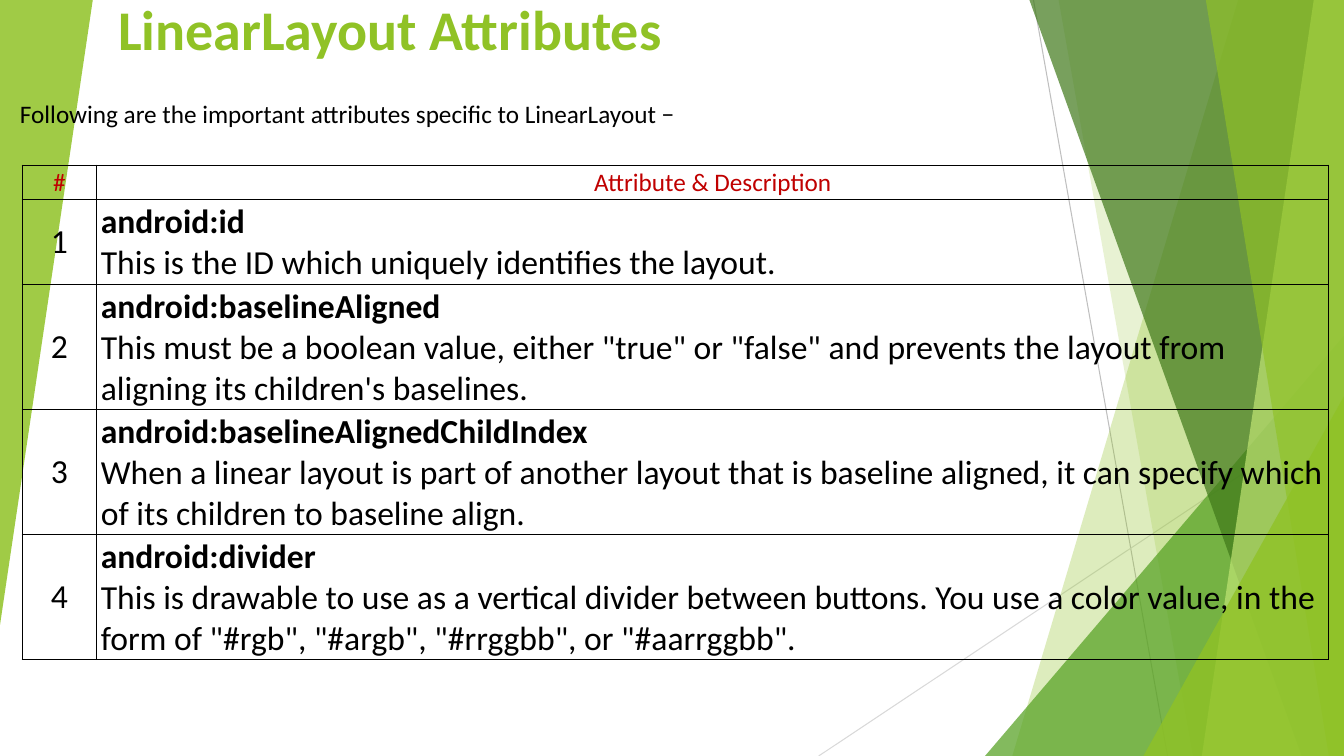
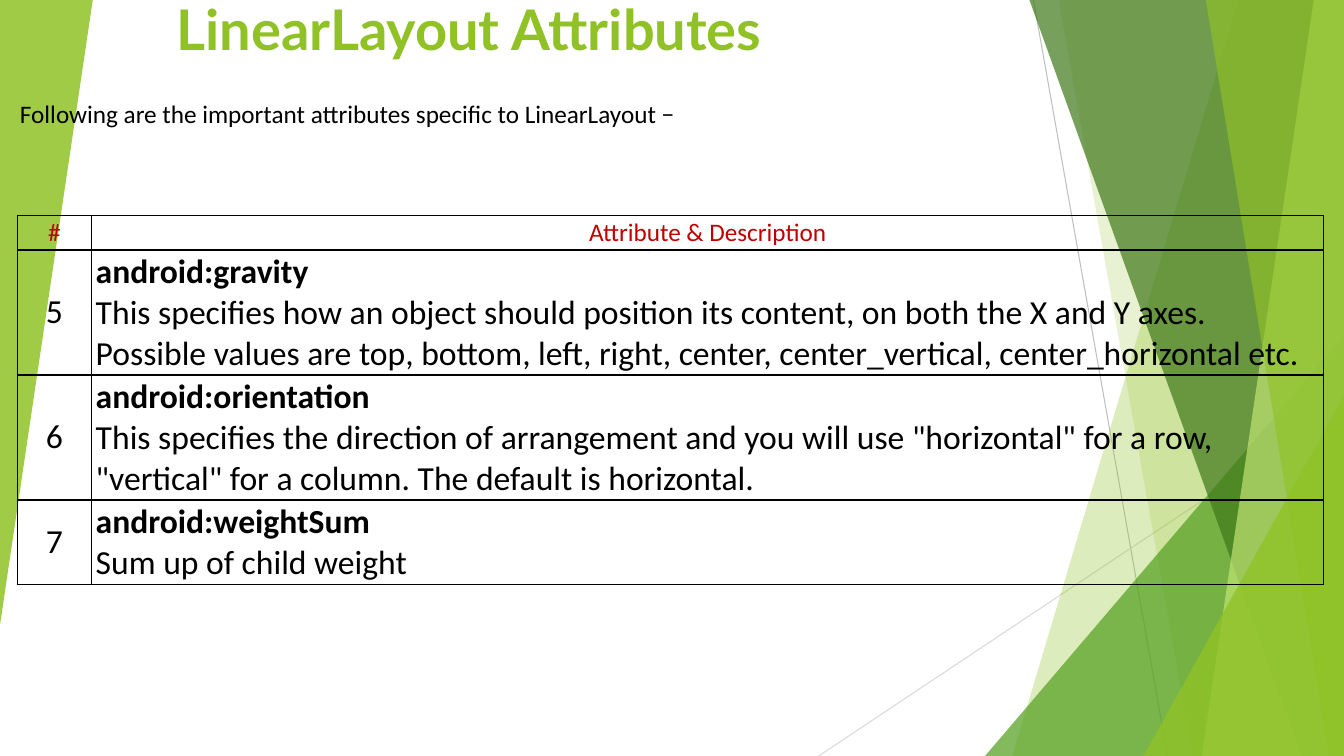
from dataclasses import dataclass
from lxml.etree import SubElement as Sub
from pptx import Presentation
from pptx.dml.color import RGBColor as RGB
from pptx.enum.shapes import MSO_CONNECTOR as Wire, MSO_SHAPE as Form
from pptx.enum.text import MSO_ANCHOR as Anchor, PP_ALIGN as Align
from pptx.oxml.ns import qn
from pptx.util import Inches, Pt


@dataclass(frozen=True)
class Theme:
    lime: str = "90C226"
    green: str = "54A021"
    forest: str = "3F7819"
    pale: str = "C0E474"
    red: str = "C00000"
    black: str = "000000"
    gray: str = "BFBFBF"
    silver: str = "D9D9D9"
    font: str = "Calibri"
    title: int = 40
    body: int = 24
    small: int = 18


look = Theme()
WIDE, HIGH = 13.33, 7.5


def write(frame, text, size=look.body, color=look.black, font=look.font,
          bold=False, align=Align.LEFT, anchor=Anchor.TOP):
    frame.word_wrap = True
    frame.vertical_anchor = anchor
    para = frame.add_paragraph() if frame.text else frame.paragraphs[0]
    para.alignment = align
    run = para.add_run()
    run.text = text
    run.font.size = Pt(size)
    run.font.name = font
    run.font.bold = bold
    run.font.color.rgb = RGB.from_string(color)


def paint(shape, color, alpha):
    shape.shadow.inherit = False
    shape.line.fill.background()
    shape.fill.solid()
    shape.fill.fore_color.rgb = RGB.from_string(color)
    tint = next(shape.element.iter(qn("a:srgbClr")))
    Sub(tint, qn("a:alpha"), val=str(alpha * 1000))


deck = Presentation()
deck.slide_width, deck.slide_height = Inches(WIDE), Inches(HIGH)
blank = deck.slide_layouts[6]

lines = [
    (10.25, 0, 11.58, HIGH, look.gray),
    (WIDE, 4.03, 8.12, HIGH, look.silver),
]
bands = [
    ("blade", (12.28, 10.04), look.lime, 30),
    ("blade", (10.5, 11.83), look.lime, 20),
    ("wedge", (9.77, 3.33), look.green, 72),
    ("blade", (10.21, 12.91), look.forest, 70),
    ("blade", (13.03, 11.92), look.pale, 70),
    ("blade", (11.96, 13.18), look.lime, 65),
    ("wedge", (11.34, 3.93), look.lime, 80),
]
pages = [
    (6.56, look.font, 0.22, 1.64, [
        ("1", "android:id", "This is the ID which uniquely identifies the layout.", 2),
        ("2", "android:baselineAligned",
         "This must be a boolean value, either \"true\" or \"false\" and prevents "
         "the layout from aligning its children's baselines.", 3),
        ("3", "android:baselineAlignedChildIndex",
         "When a linear layout is part of another layout that is baseline aligned, "
         "it can specify which of its children to baseline align.", 3),
        ("4", "android:divider",
         "This is drawable to use as a vertical divider between buttons. You use a "
         "color value, in the form of \"#rgb\", \"#argb\", \"#rrggbb\", or \"#aarrggbb\".", 3),
    ]),
    (7.55, "Lato", 0.17, 2.14, [
        ("5", "android:gravity",
         "This specifies how an object should position its content, on both the X "
         "and Y axes. Possible values are top, bottom, left, right, center, "
         "center_vertical, center_horizontal etc.", 3),
        ("6", "android:orientation",
         "This specifies the direction of arrangement and you will use "
         "\"horizontal\" for a row, \"vertical\" for a column. The default is "
         "horizontal.", 3),
        ("7", "android:weightSum", "Sum up of child weight", 2),
    ]),
]

slides = [deck.slides.add_slide(blank) for page in pages]
shapes = slides[0].shapes

for x, y, right, low, color in lines:
    wire = shapes.add_connector(Wire.STRAIGHT, Inches(x), Inches(y),
                                Inches(right), Inches(low))
    wire.line.color.rgb = RGB.from_string(color)
    wire.line.width = Pt(0.75)
    Sub(wire.element.spPr, qn("a:effectLst"))

for kind, (a, b), color, alpha in bands:
    if kind == "blade":
        pen = shapes.build_freeform(Inches(a), 0)
        pen.add_line_segments([(Inches(x), Inches(y)) for x, y in
                               ((WIDE, 0), (WIDE, HIGH), (b, HIGH))])
        band = pen.convert_to_shape()
    else:
        band = shapes.add_shape(Form.ISOSCELES_TRIANGLE, Inches(a), Inches(b),
                                Inches(WIDE - a), Inches(HIGH - b))
        band.adjustments[0] = 1
    paint(band, color, alpha)

edge = shapes.add_shape(Form.ISOSCELES_TRIANGLE, 0, 0, Inches(0.92), Inches(6.2))
edge.adjustments[0] = 1
edge.rotation = 180
paint(edge, look.lime, 85)

for shape in list(shapes):
    blank.shapes.element.append(shape.element)

for slide, (width, font, left, top, items) in zip(slides, pages):
    title = slide.shapes.add_textbox(Inches(0.1), Inches(0.08),
                                     Inches(width), Inches(0.58))
    write(title.text_frame, "LinearLayout Attributes", size=look.title, font=font,
          color=look.lime, bold=True, align=Align.RIGHT, anchor=Anchor.BOTTOM)
    intro = slide.shapes.add_textbox(Inches(0.1), Inches(0.93),
                                     Inches(12.46), Inches(0.4))
    write(intro.text_frame,
          "Following are the important attributes specific to LinearLayout −",
          size=look.small)

    highs = [0.34] + [0.04 + 0.4 * item[-1] for item in items]
    grid = slide.shapes.add_table(len(highs), 2, Inches(left), Inches(top),
                                  Inches(12.96), Inches(sum(highs))).table
    grid.first_row = grid.horz_banding = False
    for col, size in zip(grid.columns, (0.74, 12.22)):
        col.width = Inches(size)
    for row, size in zip(grid.rows, highs):
        row.height = Inches(size)

    for cell in grid.iter_cells():
        cell.margin_left = cell.margin_right = Inches(0.04)
        cell.margin_top = cell.margin_bottom = Inches(0.02)
        cell.vertical_anchor = Anchor.MIDDLE
        for side in "LRTB":
            rule = Sub(cell._tc.get_or_add_tcPr(), qn(f"a:ln{side}"), w=str(Pt(1)))
            Sub(Sub(rule, qn("a:solidFill")), qn("a:srgbClr"), val=look.black)
        cell.fill.background()

    for i, text in enumerate(("#", "Attribute & Description")):
        write(grid.cell(0, i).text_frame, text, size=look.small, color=look.red,
              align=Align.CENTER, anchor=Anchor.MIDDLE)
    for i, (mark, name, text, count) in enumerate(items, 1):
        write(grid.cell(i, 0).text_frame, mark, align=Align.CENTER, anchor=Anchor.MIDDLE)
        frame = grid.cell(i, 1).text_frame
        write(frame, name, bold=True, anchor=Anchor.MIDDLE)
        write(frame, text, anchor=Anchor.MIDDLE)

deck.save("out.pptx")
